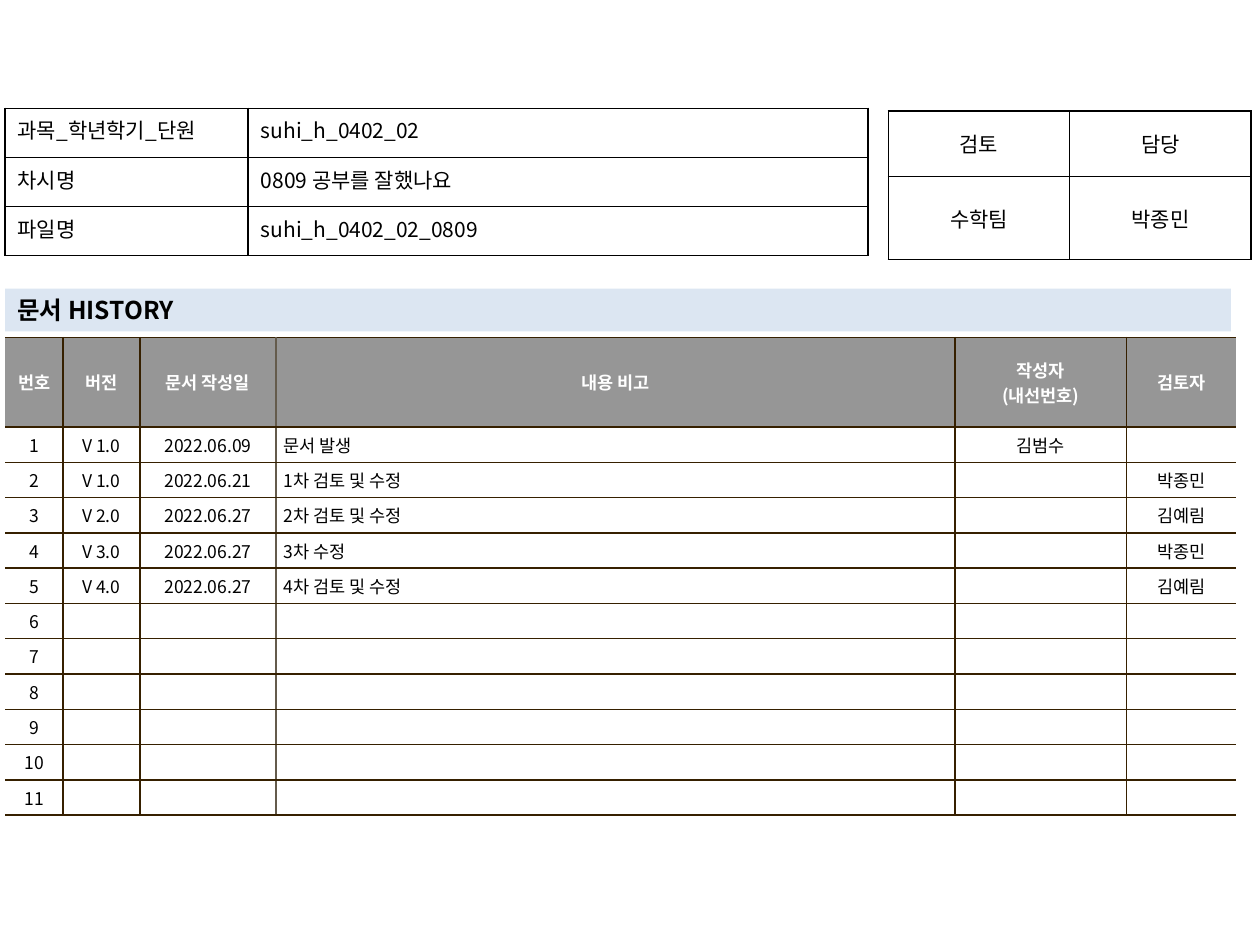
import lxml.etree
import pptx
import pptx.dml.color
import pptx.enum.shapes
import pptx.enum.text
import pptx.oxml.ns
import pptx.util

Inches = pptx.util.Inches
ALIGN = pptx.enum.text.PP_ALIGN
ANCHOR = pptx.enum.text.MSO_ANCHOR
qn = pptx.oxml.ns.qn

FONT = "Noto Sans CJK KR"
BLACK, WHITE, GRAY, PALE_BLUE = "000000", "FFFFFF", "969696", "DCE6F2"
BROWN, TAUPE = "362000", "645B4C"

HISTORY_HEADINGS = ["번호", "버전", "문서 작성일", "내용 비고", "작성자\n(내선번호)", "검토자"]
HISTORY_ENTRIES = [
    ["V 1.0", "2022.06.09", "문서 발생", "김범수", ""],
    ["V 1.0", "2022.06.21", "1차 검토 및 수정", "", "박종민"],
    ["V 2.0", "2022.06.27", "2차 검토 및 수정", "", "김예림"],
    ["V 3.0", "2022.06.27", "3차 수정", "", "박종민"],
    ["V 4.0", "2022.06.27", "4차 검토 및 수정", "", "김예림"],
]
HISTORY_ROW_COUNT = 11
NOTE_COLUMN, REVIEWER_COLUMN = 3, 5
LESSON_ROWS = [
    ["과목_학년학기_단원", "suhi_h_0402_02"],
    ["차시명", "0809 공부를 잘했나요"],
    ["파일명", "suhi_h_0402_02_0809"],
]
APPROVAL_ROWS = [["검토", "담당"], ["수학팀", "박종민"]]


def rgb(value):
    """Turn a hex string into a colour."""
    return pptx.dml.color.RGBColor.from_string(value)


def fill_solid(target, color):
    """Fill a shape or cell with one colour."""
    target.fill.solid()
    target.fill.fore_color.rgb = rgb(color)


def write(frame, text, size, color=BLACK, bold=False, align=ALIGN.LEFT, hanging=0):
    """Write each line of text as one formatted paragraph."""
    for index, line in enumerate(text.split("\n")):
        paragraph = frame.add_paragraph() if index else frame.paragraphs[0]
        paragraph.alignment = align
        if hanging:
            properties = paragraph._p.get_or_add_pPr()
            properties.set("marL", str(Inches(hanging)))
            properties.set("indent", str(-Inches(hanging)))
        if not line:
            lxml.etree.SubElement(paragraph._p, qn("a:endParaRPr"), sz=str(size * 100))
            continue
        run = paragraph.add_run()
        run.text = line
        formats = {"size": pptx.util.Pt(size), "bold": bold, "name": FONT}
        for name, value in formats.items():
            setattr(run.font, name, value)
        run.font.color.rgb = rgb(color)
        lxml.etree.SubElement(run._r.rPr, qn("a:ea"), typeface=FONT)


def set_borders(cell, colors):
    """Draw left, right, top and bottom borders, leaving out those without a colour."""
    properties = cell._tc.get_or_add_tcPr()
    for index, (side, color) in enumerate(zip("LRTB", colors)):
        line = lxml.etree.Element(qn(f"a:ln{side}"), w=str(pptx.util.Pt(1)))
        if color:
            solid = lxml.etree.SubElement(line, qn("a:solidFill"))
            lxml.etree.SubElement(solid, qn("a:srgbClr"), val=color)
        else:
            lxml.etree.SubElement(line, qn("a:noFill"))
        properties.insert(index, line)


def add_grid(slide, left, top, widths, heights):
    """Add an unbanded table with the given column widths and row heights."""
    grid = slide.shapes.add_table(
        len(heights), len(widths), Inches(left), Inches(top),
        Inches(sum(widths)), Inches(sum(heights))).table
    grid.first_row = grid.horz_banding = False
    for column, width in zip(grid.columns, widths):
        column.width = Inches(width)
    for row, height in zip(grid.rows, heights):
        row.height = Inches(height)
    return grid


def add_history(slide, left, top):
    """Add the numbered revision history, open at its left and right edges."""
    widths = [0.46, 0.61, 1.08, 5.39, 1.36, 0.87]
    history = add_grid(slide, left, top, widths, [0.71] + [0.25] * HISTORY_ROW_COUNT)
    rules = [None, BROWN, BROWN, TAUPE, BROWN, BROWN, None]
    blank_entry = [""] * (len(widths) - 1)
    blanks = [blank_entry] * (HISTORY_ROW_COUNT - len(HISTORY_ENTRIES))
    numbered = [[str(number), *entry]
                for number, entry in enumerate(HISTORY_ENTRIES + blanks, 1)]
    for row, texts in enumerate([HISTORY_HEADINGS] + numbered):
        heading = row == 0
        for column, text in enumerate(texts):
            cell = history.cell(row, column)
            cell.vertical_anchor = ANCHOR.MIDDLE
            cell.margin_left = cell.margin_right = Inches(0.06)
            cell.margin_top = cell.margin_bottom = Inches(0.04)
            fill_solid(cell, GRAY if heading else WHITE)
            set_borders(cell, [rules[column], rules[column + 1], BROWN, BROWN])
            is_note = column == NOTE_COLUMN and not heading
            hanging = {NOTE_COLUMN: 0.19, REVIEWER_COLUMN: 0.09}.get(column, 0)
            write(cell.text_frame, text, 10, WHITE if heading else BLACK, heading,
                  ALIGN.LEFT if is_note else ALIGN.CENTER, 0 if heading else hanging)


def add_boxed_table(slide, left, top, widths, heights, rows, aligns, anchor):
    """Add a black-ruled table of plain text with one alignment per column."""
    boxed = add_grid(slide, left, top, widths, heights)
    for row, texts in enumerate(rows):
        for column, text in enumerate(texts):
            cell = boxed.cell(row, column)
            cell.vertical_anchor = anchor
            cell.fill.background()
            set_borders(cell, [BLACK] * 4)
            write(cell.text_frame, text, 12, align=aligns[column])


def add_banner(slide, left, top, width, height):
    """Add the heading band above the history."""
    banner = slide.shapes.add_shape(
        pptx.enum.shapes.MSO_SHAPE.RECTANGLE,
        Inches(left), Inches(top), Inches(width), Inches(height))
    banner.shadow.inherit = False
    fill_solid(banner, PALE_BLUE)
    banner.line.fill.background()
    banner.text_frame.word_wrap = True
    write(banner.text_frame, "문서 HISTORY", 14, bold=True)


def main():
    """Build the document history slide."""
    deck = pptx.Presentation()
    deck.slide_width, deck.slide_height = Inches(10), Inches(7.5)
    slide = deck.slides.add_slide(deck.slide_layouts[6])
    add_history(slide, 0.04, 2.68)
    add_boxed_table(slide, 7.05, 0.88, [1.44] * 2, [0.52, 0.66], APPROVAL_ROWS,
                    [ALIGN.CENTER] * 2, ANCHOR.MIDDLE)
    add_banner(slide, 0.04, 2.29, 9.73, 0.34)
    add_boxed_table(slide, 0.04, 0.86, [1.93, 4.92], [0.39] * 3, LESSON_ROWS,
                    [ALIGN.JUSTIFY, ALIGN.LEFT], ANCHOR.TOP)
    deck.save("out.pptx")


if __name__ == "__main__":
    main()
